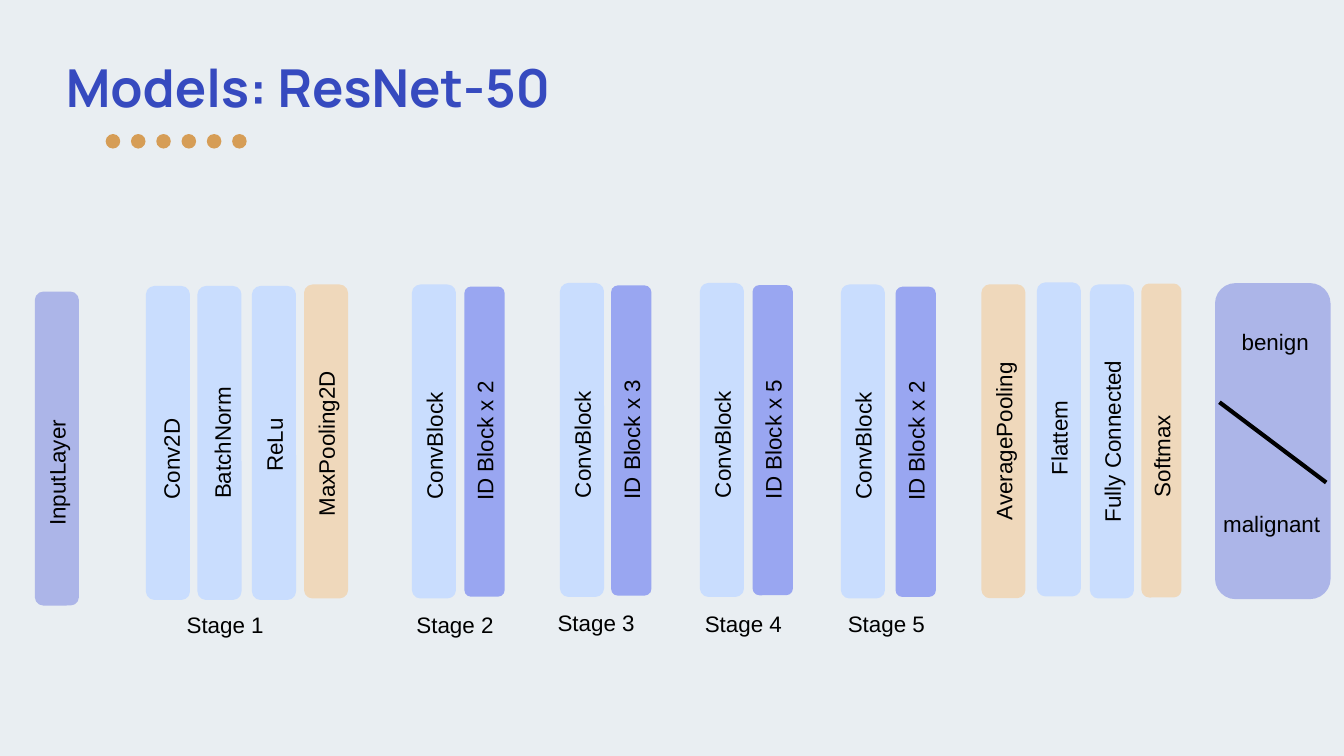
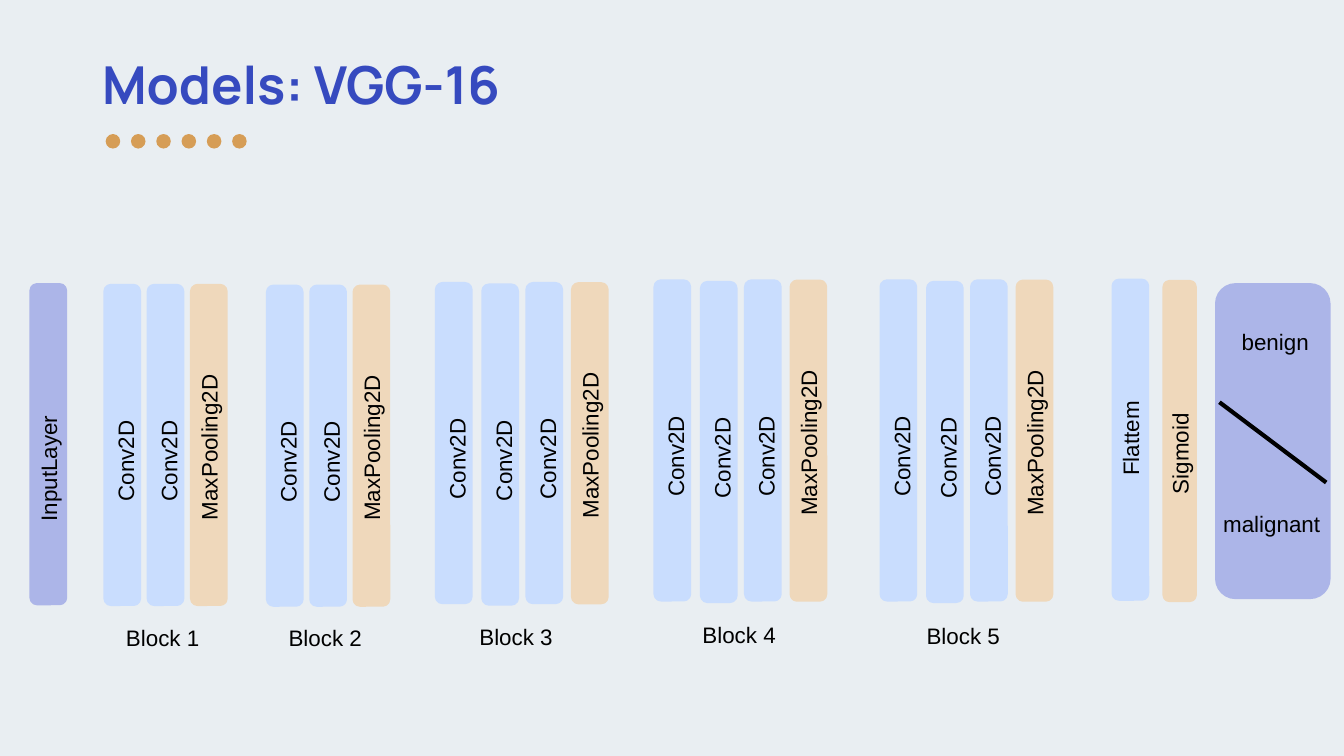
from dataclasses import dataclass

from lxml.etree import SubElement
from pptx import Presentation
from pptx.dml.color import RGBColor
from pptx.enum.shapes import MSO_CONNECTOR as Connector, MSO_SHAPE as Preset
from pptx.enum.text import MSO_ANCHOR as Anchor, MSO_AUTO_SIZE as AutoSize, PP_ALIGN as Align
from pptx.oxml.ns import qn
from pptx.shapes.autoshape import Shape
from pptx.slide import Slide
from pptx.util import Pt

COLOURS = {
    "background": "E9EEF2",
    "title": "364ABF",
    "dot": "D69D56",
    "text": "000000",
    "convolution": "C9DDFE",
    "pooling": "EFD8BB",
    "identity": "99A6F1",
    "end": "ACB5E8",
}
TITLE_FONT = "Manrope"
BODY_FONT = "Arial"
LABEL_HEIGHT = 21.6
TITLE_ONLY = 5


@dataclass(frozen=True)
class LayerStyle:
    """Look of a layer bar and the place of its label against the bar's middle."""
    colour: str
    label_length: float
    shift: float = 0
    drop: float = 0
    centred: bool = True
    outlined: bool = True
    width_share: float = 1


@dataclass(frozen=True)
class Layer:
    text: str
    left: float
    top: float


@dataclass(frozen=True)
class Caption:
    text: str
    left: float
    top: float
    width: float = 62


@dataclass(frozen=True)
class Network:
    title: str
    title_left: float
    title_top: float
    bar_width: float
    bar_height: float
    layers: list[Layer]
    captions: list[Caption]


IDENTITY = LayerStyle("identity", 122, drop=-0.4, outlined=False)
STYLES = {
    "InputLayer": LayerStyle("end", 94, drop=1.4, centred=False),
    "Conv2D": LayerStyle("convolution", 73, shift=1.6, drop=0.8, centred=False),
    "BatchNorm": LayerStyle("convolution", 100, shift=1.4),
    "ReLu": LayerStyle("convolution", 100, drop=1),
    "MaxPooling2D": LayerStyle("pooling", 124, drop=1.2),
    "ConvBlock": LayerStyle("convolution", 100, drop=2.4),
    "ID Block x 2": IDENTITY,
    "ID Block x 3": IDENTITY,
    "ID Block x 5": IDENTITY,
    "AveragePooling": LayerStyle("pooling", 145),
    "Flattem": LayerStyle("convolution", 147, drop=-0.7),
    "Fully Connected": LayerStyle("convolution", 145),
    "Softmax": LayerStyle("pooling", 109, drop=-17, centred=False, width_share=0.9),
    "Sigmoid": LayerStyle("pooling", 112, drop=-20.5, centred=False, width_share=0.9),
}


def vgg_block(left: float, top: float, convolutions: int) -> list[Layer]:
    """Convolutions followed by one pooling layer."""
    steps = {2: [(0, 0), (23.2, 0), (46.4, 0)],
             3: [(0, 0), (24.9, 0.8), (48.5, 0), (72.9, 0.1)]}[convolutions]
    names = ["Conv2D"] * convolutions + ["MaxPooling2D"]
    return [Layer(name, left + x, top + y) for name, (x, y) in zip(names, steps)]


RESNET = Network(
    "Models: ResNet-50", 28.1, 24.5, 21.6, 166.2,
    [
        Layer("InputLayer", 19.7, 157.2),
        Layer("Conv2D", 79.2, 154.2),
        Layer("BatchNorm", 106.8, 154.2),
        Layer("ReLu", 136, 154.2),
        Layer("MaxPooling2D", 163.9, 153.4),
        Layer("ConvBlock", 221.7, 153.4),
        Layer("ID Block x 2", 248.8, 153.5),
        Layer("ConvBlock", 301, 152.6),
        Layer("ID Block x 3", 327.4, 152.9),
        Layer("ConvBlock", 376, 152.6),
        Layer("ID Block x 5", 403.2, 152.7),
        Layer("ConvBlock", 451.5, 153.4),
        Layer("ID Block x 2", 479.8, 153.6),
        Layer("AveragePooling", 526.8, 153.3),
        Layer("Flattem", 556.5, 152.3),
        Layer("Fully Connected", 584.9, 153.4),
        Layer("Softmax", 612.5, 152.9),
    ],
    [
        Caption("Stage 1", 92.9, 324),
        Caption("Stage 2", 216, 324),
        Caption("Stage 3", 291.6, 322.8),
        Caption("Stage 4", 370.5, 323.3),
        Caption("Stage 5", 447.1, 323.3),
    ],
)

VGG = Network(
    "Models: VGG-16", 47.5, 23, 18.2, 170.6,
    [
        Layer("InputLayer", 16.8, 152.7),
        *vgg_block(56.4, 153.1, 2),
        *vgg_block(143.5, 153.5, 2),
        *vgg_block(234, 152.1, 3),
        *vgg_block(351.1, 150.7, 3),
        *vgg_block(472.2, 150.7, 3),
        Layer("Flattem", 596.5, 150.3),
        Layer("Sigmoid", 623.8, 151),
    ],
    [
        Caption("Block 1", 60.4, 331),
        Caption("Block 2", 147.5, 330.8),
        Caption("Block 3", 249.7, 330.5),
        Caption("Block 4", 369.2, 329.3),
        Caption("Block 5", 489.3, 329.8),
    ],
)

OUTCOMES = [Caption("malignant", 648.2, 270, 71), Caption("benign", 658.1, 172, 61)]


def rgb(name: str) -> RGBColor:
    return RGBColor.from_string(COLOURS[name])


def paint(shape: Shape, colour: str, outlined: bool = True) -> None:
    shape.shadow.inherit = False
    shape.fill.solid()
    shape.fill.fore_color.rgb = rgb(colour)
    if outlined:
        shape.line.color.rgb = rgb(colour)
        shape.line.width = Pt(2)
    else:
        shape.line.fill.background()


def add_box(slide: Slide, left: float, top: float, width: float, height: float,
            colour: str, outlined: bool = True) -> None:
    box = slide.shapes.add_shape(
        Preset.ROUNDED_RECTANGLE, Pt(left), Pt(top), Pt(width), Pt(height))
    paint(box, colour, outlined)


def add_text(slide: Slide, caption: Caption, centred: bool = False) -> Shape:
    box = slide.shapes.add_textbox(
        Pt(caption.left), Pt(caption.top), Pt(caption.width), Pt(LABEL_HEIGHT))
    frame = box.text_frame
    frame.word_wrap = True
    frame.auto_size = AutoSize.SHAPE_TO_FIT_TEXT
    paragraph = frame.paragraphs[0]
    paragraph.text = caption.text
    paragraph.alignment = Align.CENTER if centred else Align.LEFT
    paragraph.font.name = BODY_FONT
    paragraph.font.size = Pt(12)
    paragraph.font.color.rgb = rgb("text")
    return box


def add_title(slide: Slide, network: Network) -> None:
    title = slide.shapes.title
    title.left, title.top = Pt(network.title_left), Pt(network.title_top)
    title.width, title.height = Pt(616), Pt(45)
    frame = title.text_frame
    frame.word_wrap = True
    frame.auto_size = AutoSize.NONE
    frame.vertical_anchor = Anchor.TOP
    frame.margin_left = frame.margin_right = frame.margin_bottom = Pt(7.2)
    frame.margin_top = Pt(5)
    paragraph = frame.paragraphs[0]
    paragraph.text = network.title
    paragraph.alignment = Align.LEFT
    paragraph.font.name = TITLE_FONT
    paragraph.font.size = Pt(28)
    paragraph.font.bold = True
    paragraph.font.color.rgb = rgb("title")


def add_dots(slide: Slide) -> None:
    group = slide.shapes.add_group_shape()
    for index in range(6):
        dot = group.shapes.add_shape(
            Preset.OVAL, Pt(56.6 + 13.55 * index), Pt(71.8), Pt(7.8), Pt(7.8))
        paint(dot, "dot", outlined=False)


def add_layer(slide: Slide, layer: Layer, network: Network) -> None:
    style = STYLES[layer.text]
    width = network.bar_width * style.width_share
    add_box(slide, layer.left, layer.top, width, network.bar_height,
            style.colour, style.outlined)
    middle_x = layer.left + width / 2 + style.shift
    middle_y = layer.top + network.bar_height / 2 + style.drop
    label = Caption(layer.text, middle_x - style.label_length / 2,
                    middle_y - LABEL_HEIGHT / 2, style.label_length)
    add_text(slide, label, style.centred).rotation = 270


def add_outcome(slide: Slide) -> None:
    add_box(slide, 651.9, 152.7, 59.9, 167.3, "end")
    divider = slide.shapes.add_connector(
        Connector.STRAIGHT, Pt(653.3), Pt(215.5), Pt(710.5), Pt(258.5))
    divider.line.color.rgb = rgb("text")
    divider.line.width = Pt(2.25)
    SubElement(divider._element.spPr, qn("a:effectLst"))
    for outcome in OUTCOMES:
        add_text(slide, outcome)


def add_network(presentation: Presentation, network: Network) -> None:
    slide = presentation.slides.add_slide(presentation.slide_layouts[TITLE_ONLY])
    add_title(slide, network)
    add_dots(slide)
    for layer in network.layers:
        add_layer(slide, layer, network)
    for caption in network.captions:
        add_text(slide, caption)
    add_outcome(slide)


def main() -> None:
    presentation = Presentation()
    presentation.slide_width, presentation.slide_height = Pt(720), Pt(405)
    # Shared background
    fill = presentation.slide_master.background.fill
    fill.solid()
    fill.fore_color.rgb = rgb("background")
    # One slide for each network
    for network in (RESNET, VGG):
        add_network(presentation, network)
    presentation.save("out.pptx")


if __name__ == "__main__":
    main()
